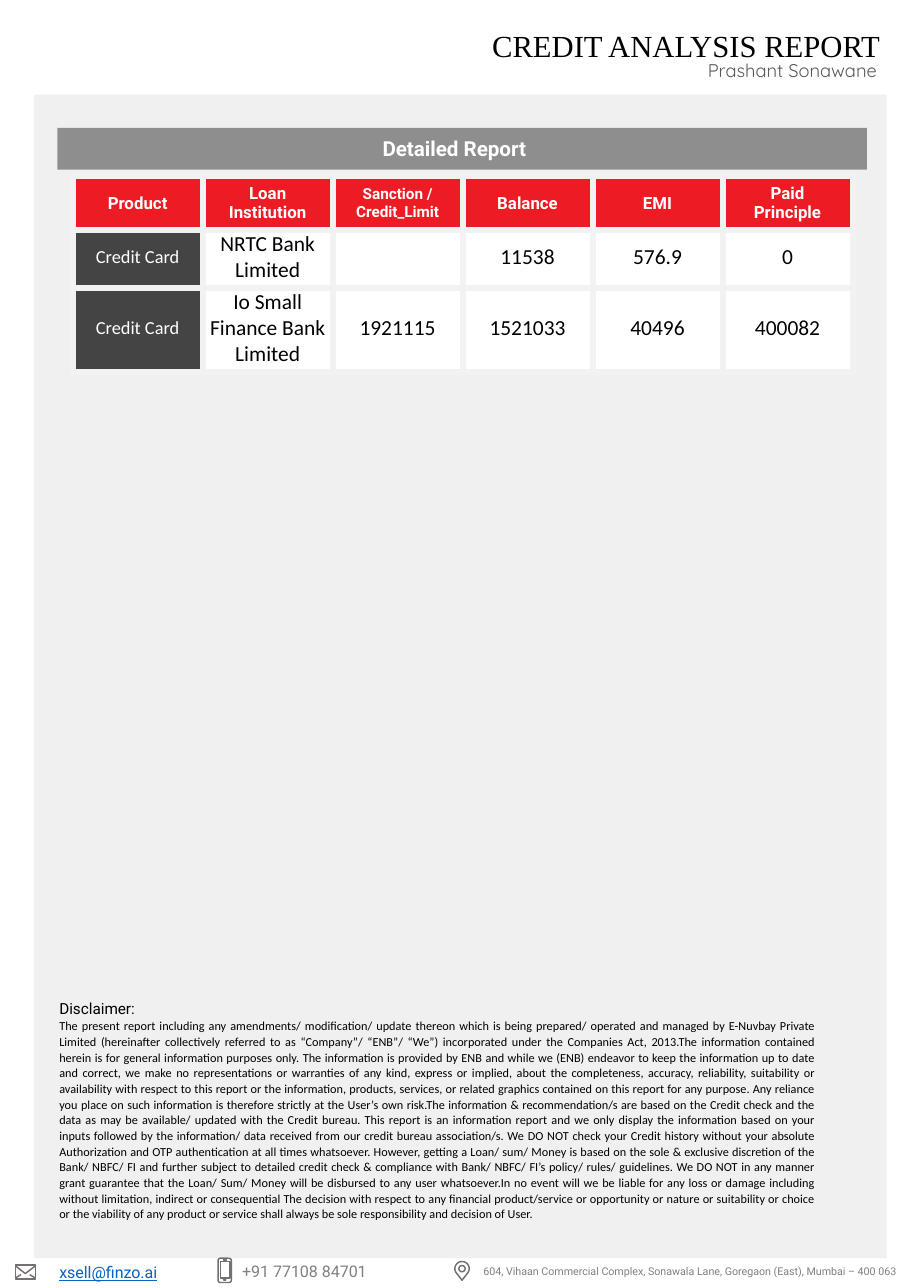
import math

from lxml import etree
from pptx import Presentation
from pptx import util as u
from pptx.dml.color import RGBColor
from pptx.enum import shapes, text
from pptx.oxml import ns

PX = 9144  # 100 px to the inch
PAGE_W, PAGE_H = 827, 1169
ICON = "767171"
CONTACT = "808080"

LOANS = [
    ["Product", "Loan Institution", "Sanction / Credit_Limit", "Balance", "EMI", "Paid\nPrinciple"],
    ["Credit Card", "NRTC Bank Limited", "", "11538", "576.9", "0"],
    ["Credit Card", "Io Small Finance Bank Limited", "1921115", "1521033", "40496", "400082"],
]

DISCLAIMER = [
    "The present report including any amendments/ modification/ update thereon which is being "
    "prepared/ operated and managed by E-Nuvbay Private Limited (hereinafter collectively referred "
    "to as “Company”/ “ENB”/ “We”) incorporated under the Companies Act, 2013.The information "
    "contained herein is for general information purposes only.",
    "The information is provided by ENB "
    "and while we (ENB) endeavor to keep the information up to date and correct, we make no "
    "representations or warranties of any kind, express or implied, about the completeness, "
    "accuracy, reliability, suitability or availability with respect to this report or the "
    "information, products, services, or related graphics contained on this report for any purpose.",
    "Any reliance you place on such information is therefore strictly at the User’s own risk.The "
    "information & recommendation/s are based on the Credit check and the data as may be available/ "
    "updated with the Credit bureau. This report is an information report and we only display the "
    "information based on your inputs followed by the information/ data received from our credit "
    "bureau association/s.",
    "We DO NOT check your Credit history without your absolute Authorization "
    "and OTP authentication at all times whatsoever. However, getting a Loan/ sum/ Money is based on "
    "the sole & exclusive discretion of the Bank/ NBFC/ FI and further subject to detailed credit "
    "check & compliance with Bank/ NBFC/ FI’s policy/ rules/ guidelines.",
    "We DO NOT in any manner "
    "grant guarantee that the Loan/ Sum/ Money will be disbursed to any user whatsoever.In no event "
    "will we be liable for any loss or damage including without limitation, indirect or consequential "
    "The decision with respect to any financial product/service or opportunity or nature or "
    "suitability or choice or the viability of any product or service shall always be sole "
    "responsibility and decision of User.",
]


def px(*lengths):
    return [u.Emu(round(length * PX)) for length in lengths]


def color(hex_code):
    return RGBColor.from_string(hex_code)


def style(paragraph, font, size, hex_code, align=text.PP_ALIGN.LEFT, bold=False):
    paragraph.alignment = align
    paragraph.font.name = font
    paragraph.font.size = u.Pt(size)
    paragraph.font.color.rgb = color(hex_code)
    paragraph.font.bold = bold


def label(slide, box, wording, *look):
    """Add a wrapped text box, style its first paragraph and return its frame."""
    frame = slide.shapes.add_textbox(*px(*box)).text_frame
    frame.word_wrap = True
    frame.text = wording
    style(frame.paragraphs[0], *look)
    return frame


def block(slide, box, fill=None, line=None, preset=shapes.MSO_SHAPE.RECTANGLE):
    shape = slide.shapes.add_shape(preset, *px(*box))
    finish(shape, fill, line)
    return shape


def finish(shape, fill, line):
    shape.shadow.inherit = False
    if fill:
        shape.fill.solid()
        shape.fill.fore_color.rgb = color(fill)
    else:
        shape.fill.background()
    if line:
        shape.line.color.rgb = color(line)
        shape.line.width = u.Pt(0.96)
    else:
        shape.line.fill.background()


def outline(slide, origin, contours):
    """Draw unfilled contours of (points, closed), measured from origin."""
    builder = None
    for points, closed in contours:
        start, *rest = [px(origin[0] + x, origin[1] + y) for x, y in points]
        if builder is None:
            builder = slide.shapes.build_freeform(*start, scale=1.0)
        else:
            builder.move_to(*start)
        builder.add_line_segments(rest, close=closed)
    finish(builder.convert_to_shape(), None, ICON)


def arc(cx, cy, radius, start, end, steps=24):
    angles = [math.radians(start + (end - start) * i / steps) for i in range(steps + 1)]
    return [(cx + radius * math.cos(a), cy + radius * math.sin(a)) for a in angles]


def heading(slide, left, top, width):
    title = slide.shapes.title
    title.left, title.top, title.width, title.height = px(left, top, width, 44)
    frame = title.text_frame
    frame.text = "CREDIT ANALYSIS REPORT"
    frame.word_wrap = True
    frame.auto_size = text.MSO_AUTO_SIZE.NONE
    frame.vertical_anchor = text.MSO_ANCHOR.TOP
    style(frame.paragraphs[0], "Times New Roman", 20, "000000", text.PP_ALIGN.RIGHT)
    label(slide, (left, top + 30, width - 3, 30), "Prashant Sonawane",
          "Quicksand", 12, "595959", text.PP_ALIGN.RIGHT)


def report_band(slide, box):
    band = block(slide, box, "8E8E8E")
    frame = band.text_frame
    frame.margin_right = px(24)[0]
    frame.vertical_anchor = text.MSO_ANCHOR.MIDDLE
    frame.text = "Detailed Report"
    style(frame.paragraphs[0], "Roboto", 13.5, "FFFFFF", text.PP_ALIGN.CENTER, True)


def add_borders(cell, hex_code, points):
    properties = cell._tc.get_or_add_tcPr()
    for side in ("lnL", "lnR", "lnT", "lnB"):
        line = etree.SubElement(properties, ns.qn("a:" + side), w=str(u.Pt(points)))
        fill = etree.SubElement(line, ns.qn("a:solidFill"))
        etree.SubElement(fill, ns.qn("a:srgbClr"), val=hex_code)


def cell_look(row, column):
    """Return fill, font, size, text colour and boldness of a cell."""
    if row == 0:
        return "ED1B23", "Roboto", 10 if column == 2 else 11, "FFFFFF", True
    if column == 0:
        return "444444", "Calibri", 12, "FFFFFF", False
    return "FFFFFF", "Calibri", 14, "000000", False


def loan_table(slide, left, top, column_width, row_height):
    rows, columns = len(LOANS), len(LOANS[0])
    box = px(left, top, columns * column_width, rows * row_height)
    table = slide.shapes.add_table(rows, columns, *box).table
    for r, loan in enumerate(LOANS):
        for c, value in enumerate(loan):
            cell = table.cell(r, c)
            fill, font, size, ink, bold = cell_look(r, c)
            add_borders(cell, "F2F2F2", 4.5)
            cell.fill.solid()
            cell.fill.fore_color.rgb = color(fill)
            cell.vertical_anchor = text.MSO_ANCHOR.MIDDLE
            if r:
                cell.margin_left, cell.margin_top, cell.margin_right, cell.margin_bottom = px(1, 1, 1, 5)
            cell.text = value
            for paragraph in cell.text_frame.paragraphs:
                style(paragraph, font, size, ink, text.PP_ALIGN.CENTER, bold)


def disclaimer(slide, box):
    frame = label(slide, box, "Disclaimer:", "Roboto", 10, "000000", text.PP_ALIGN.JUSTIFY)
    body = frame.add_paragraph()
    body.text = " ".join(DISCLAIMER)
    style(body, "Calibri", 8, "000000", text.PP_ALIGN.JUSTIFY)
    body.line_spacing = 1.07
    body.space_after = u.Pt(8)


def envelope(slide, left, top):
    outline(slide, (left, top), [
        ([(0, 0), (18, 0), (18, 13), (0, 13)], True),
        ([(0, 1), (9, 8), (18, 1)], False),
        ([(0, 12), (5, 9)], False),
        ([(18, 12), (13, 9)], False),
    ])


def phone(slide, left, top):
    block(slide, (left, top, 12, 22), line=ICON, preset=shapes.MSO_SHAPE.ROUNDED_RECTANGLE)
    block(slide, (left + 2, top + 3, 9, 15), line=ICON)
    block(slide, (left + 5, top + 1, 2, 1), line=ICON)
    block(slide, (left + 5, top + 19, 2, 1), line=ICON, preset=shapes.MSO_SHAPE.OVAL)


def map_pin(slide, left, top):
    outline(slide, (left, top), [
        (arc(6.5, 6.5, 6.5, 150, 390) + [(6.5, 17)], True),
        (arc(6.5, 6.5, 2.8, 0, 360), True),
    ])


def contact_footer(slide, top):
    envelope(slide, 14, top + 8)
    email = label(slide, (44, top + 1, 184, 28), "xsell@finzo.ai", "Roboto", 10.5, "0563C1")
    email.paragraphs[0].font.underline = True
    phone(slide, 198, top + 2)
    label(slide, (210, top, 184, 29), "+91 77108 84701", "Roboto", 10.5, CONTACT)
    map_pin(slide, 413, top + 5)
    label(slide, (429, top + 3, 398, 22),
          "604, Vihaan Commercial Complex, Sonawala Lane, Goregaon (East), Mumbai – 400 063",
          "Roboto", 7, CONTACT)


def main():
    deck = Presentation()
    deck.slide_width, deck.slide_height = px(PAGE_W, PAGE_H)
    slide = deck.slides.add_slide(deck.slide_layouts[5])
    block(slide, (31, 86, 774, 1056), "F0F0F0")
    heading(slide, 404, 19, 405)
    report_band(slide, (52, 116, 735, 38))
    loan_table(slide, 66, 160, 118, 49)
    disclaimer(slide, (44, 902, 707, 214))
    contact_footer(slide, 1140)
    deck.save("out.pptx")


if __name__ == "__main__":
    main()
